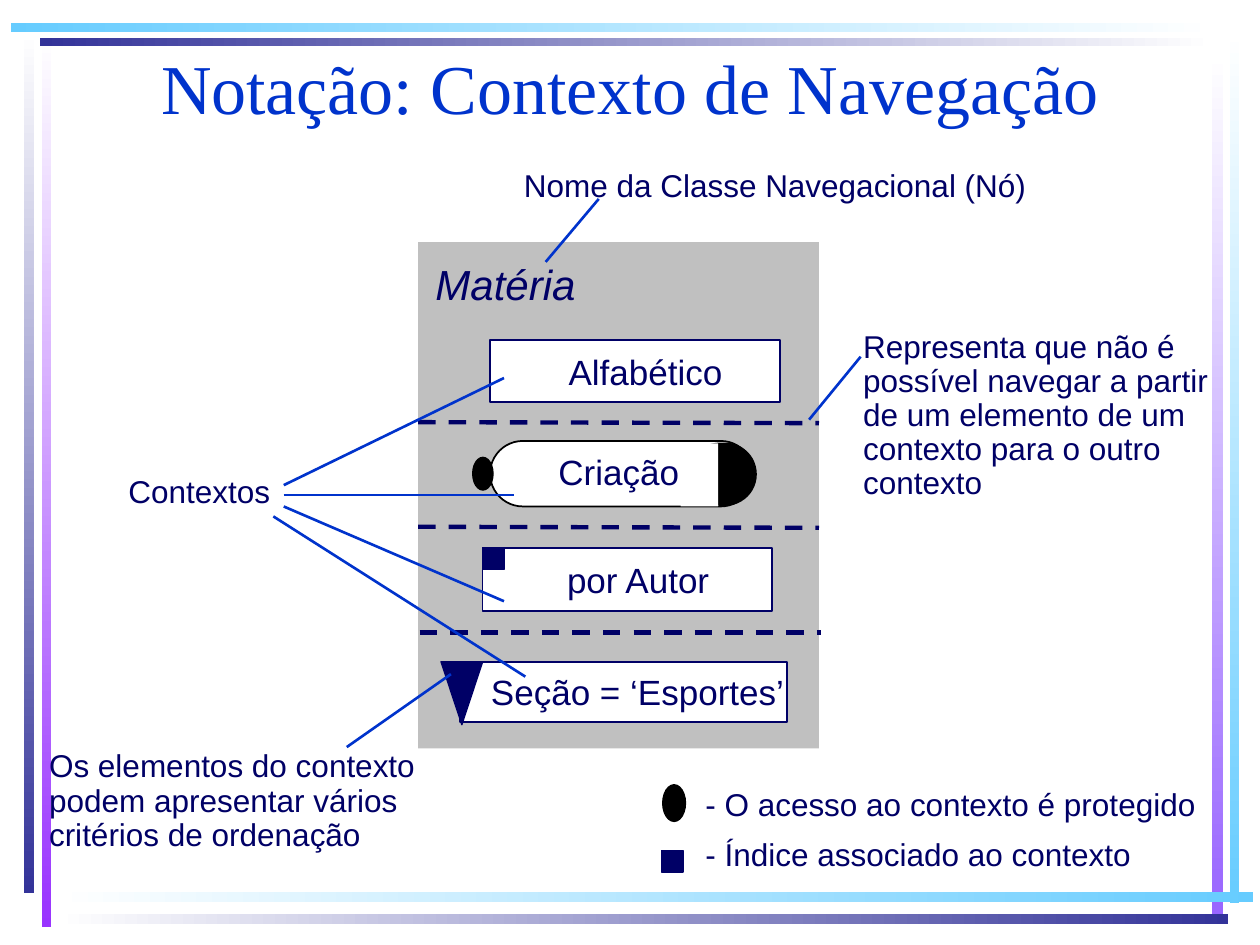
from dataclasses import dataclass

from pptx import Presentation
from pptx.dml.color import RGBColor as RGB
from pptx.enum.dml import MSO_LINE as DASH
from pptx.enum.shapes import MSO_CONNECTOR as CONN, MSO_SHAPE as SHAPE
from pptx.enum.text import MSO_ANCHOR as ANCHOR, MSO_AUTO_SIZE as FIT, PP_ALIGN as ALIGN
from pptx.oxml.ns import qn
from pptx.util import Cm, Pt


@dataclass(frozen=True)
class Theme:
    white: str = "FFFFFF"
    black: str = "000000"
    gray: str = "C0C0C0"
    ink: str = "000066"
    blue: str = "0033CC"
    navy: str = "333399"
    sky: str = "66CCFF"
    violet: str = "9933FF"
    lilac: str = "9966FF"
    title: int = 40
    heading: int = 24
    context: int = 20
    note: int = 18
    sans: str = "Arial"
    serif: str = "Times New Roman"


T = Theme()


def add_shape(kind, box, fill=None, line=None, weight=1):
    sp = s.shapes.add_shape(kind, *map(Cm, box))
    sp.shadow.inherit = False
    if fill:
        sp.fill.solid()
        sp.fill.fore_color.rgb = RGB.from_string(fill)
    if line:
        sp.line.color.rgb = RGB.from_string(line)
        sp.line.width = Pt(weight)
    else:
        sp.line.fill.background()
    return sp


def write(sp, lines, size, color=T.ink, name=T.sans, italic=False,
          align=ALIGN.LEFT, spacing=1.0, **frame):
    tf = sp.text_frame
    for key, value in frame.items():
        setattr(tf, key, value)
    for i, line in enumerate(lines):
        p = tf.paragraphs[0] if i == 0 else tf.add_paragraph()
        p.alignment, p.line_spacing = align, spacing
        r = p.add_run()
        r.text = line
        for key, value in dict(size=Pt(size), name=name, italic=italic).items():
            setattr(r.font, key, value)
        r.font.color.rgb = RGB.from_string(color)


prs = Presentation()
prs.slide_width, prs.slide_height = Cm(25.4), Cm(19.05)
s = prs.slides.add_slide(prs.slide_layouts[6])

DOWN, RIGHT = 270, 0
bars = [
    ((0.84, 0.71, 0.2, 17.98), T.white, T.violet, DOWN),
    ((0.48, 0.64, 0.2, 17.37), T.white, T.navy, DOWN),
    ((24.79, 0.61, 0.18, 17.6), T.white, T.sky, DOWN),
    ((24.43, 1.07, 0.23, 17.35), T.white, T.lilac, DOWN),
    ((1.14, 17.98, 24.13, 0.2), T.white, T.sky, RIGHT),
    ((1.14, 18.42, 23.62, 0.2), T.white, T.navy, RIGHT),
    ((0.81, 0.76, 23.67, 0.16), T.navy, T.white, RIGHT),
    ((0.22, 0.47, 24.28, 0.18), T.sky, T.white, RIGHT),
]
for box, start, end, angle in bars:
    sp = add_shape(SHAPE.RECTANGLE, box)
    sp.fill.gradient()
    sp.fill.gradient_angle = angle
    for stop, color in zip(sp.fill.gradient_stops, (start, end)):
        stop.color.rgb = RGB.from_string(color)

title = s.shapes.add_textbox(Cm(1.9), Cm(0.81), Cm(21.6), Cm(1.9))
write(title, ["Notação: Contexto de Navegação"], T.title, T.blue, T.serif,
      align=ALIGN.CENTER, word_wrap=True, vertical_anchor=ANCHOR.BOTTOM)

add_shape(SHAPE.RECTANGLE, (8.43, 4.88, 8.08, 10.21), T.gray)

dividers = [(8.43, 8.51, 16.51, 8.53), (8.43, 10.62, 16.51, 10.64), (8.46, 12.75, 16.56, 12.75)]
pointers = [
    (11, 5.28, 12.07, 4.01),
    (16.31, 8.46, 17.35, 7.19),
    (5.72, 9.78, 10.16, 7.62),
    (5.72, 9.98, 10.36, 9.98),
    (5.72, 10.21, 10.16, 12.12),
    (5.51, 10.41, 10.59, 13.64),
    (6.99, 15.06, 9.09, 13.59),
]
contexts = [
    ("Alfabético", (9.88, 6.86, 5.84, 1.24), 0.68),
    ("por Autor", (9.73, 11.05, 5.84, 1.27), 0.68),
    ("Seção = ‘Esportes’", (9.27, 13.34, 6.6, 1.22), 0.82),
]
for name, box, inset in contexts:
    sp = add_shape(SHAPE.RECTANGLE, box, T.white, T.ink)
    write(sp, [name], T.context, align=ALIGN.CENTER, word_wrap=False,
          vertical_anchor=ANCHOR.MIDDLE, margin_left=Cm(inset))

protected = add_shape(SHAPE.ROUNDED_RECTANGLE, (9.88, 8.89, 5.31, 1.32), T.white, T.black)
cap = add_shape(SHAPE.ROUNDED_RECTANGLE, (13.89, 8.94, 1.35, 1.24), T.black, T.black)
for sp in (protected, cap):
    sp.adjustments[0] = 0.5
write(protected, ["Criação"], T.context, align=ALIGN.CENTER, word_wrap=True,
      vertical_anchor=ANCHOR.TOP, margin_left=Cm(0.13), margin_top=0, margin_bottom=0)
add_shape(SHAPE.RECTANGLE, (13.72, 8.94, 0.76, 1.27), T.white)

order_mark = add_shape(SHAPE.ISOSCELES_TRIANGLE, (8.89, 13.34, 0.84, 1.27), T.ink, T.ink, 0.75)
order_mark.rotation = 180
for box in [(9.53, 9.22, 0.41, 0.66), (13.36, 15.82, 0.46, 0.74)]:
    add_shape(SHAPE.OVAL, box, T.black, T.black, 0.75)
for x, y in [(9.73, 11.05), (13.34, 17.15)]:
    add_shape(SHAPE.RECTANGLE, (x, y, 0.43, 0.43), T.ink, T.ink, 0.75)

for ends, color, weight, dash in (
        [(d, T.ink, 2.5, DASH.DASH) for d in dividers]
        + [(d, T.blue, 1.5, None) for d in pointers]):
    c = s.shapes.add_connector(CONN.STRAIGHT, *map(Cm, ends))
    c.line.color.rgb = RGB.from_string(color)
    c.line.width = Pt(weight)
    c.line.dash_style = dash
    c._element.spPr.append(c._element.makeelement(qn("a:effectLst"), {}))

notes = [
    ((8.53, 5.08, 3.5, 1.27), ["Matéria"], dict(size=T.heading, italic=True)),
    ((10.31, 3.23, 10.8, 1.02), ["Nome da Classe Navegacional (Nó)"], {}),
    ((2.34, 9.4, 3.6, 1.02), ["Contextos"], {}),
    ((17.15, 6.55, 7.8, 3.68),
     ["Representa que não é", "possível navegar a partir", "de um elemento de um",
      "contexto para o outro", "contexto"], dict(spacing=0.9)),
    ((0.74, 15.01, 8.05, 2.31),
     ["Os elementos do contexto podem apresentar vários critérios de ordenação"],
     dict(spacing=0.9, word_wrap=True)),
    ((13.97, 15.7, 10.6, 1.02), ["- O acesso ao contexto é protegido"], {}),
    ((13.97, 16.71, 9.4, 1.02), ["- Índice associado ao contexto"], {}),
]
for box, lines, fmt in notes:
    sp = s.shapes.add_textbox(*map(Cm, box))
    base = dict(size=T.note, word_wrap=True, auto_size=FIT.SHAPE_TO_FIT_TEXT)
    write(sp, lines, **{**base, **fmt})

prs.save("out.pptx")
